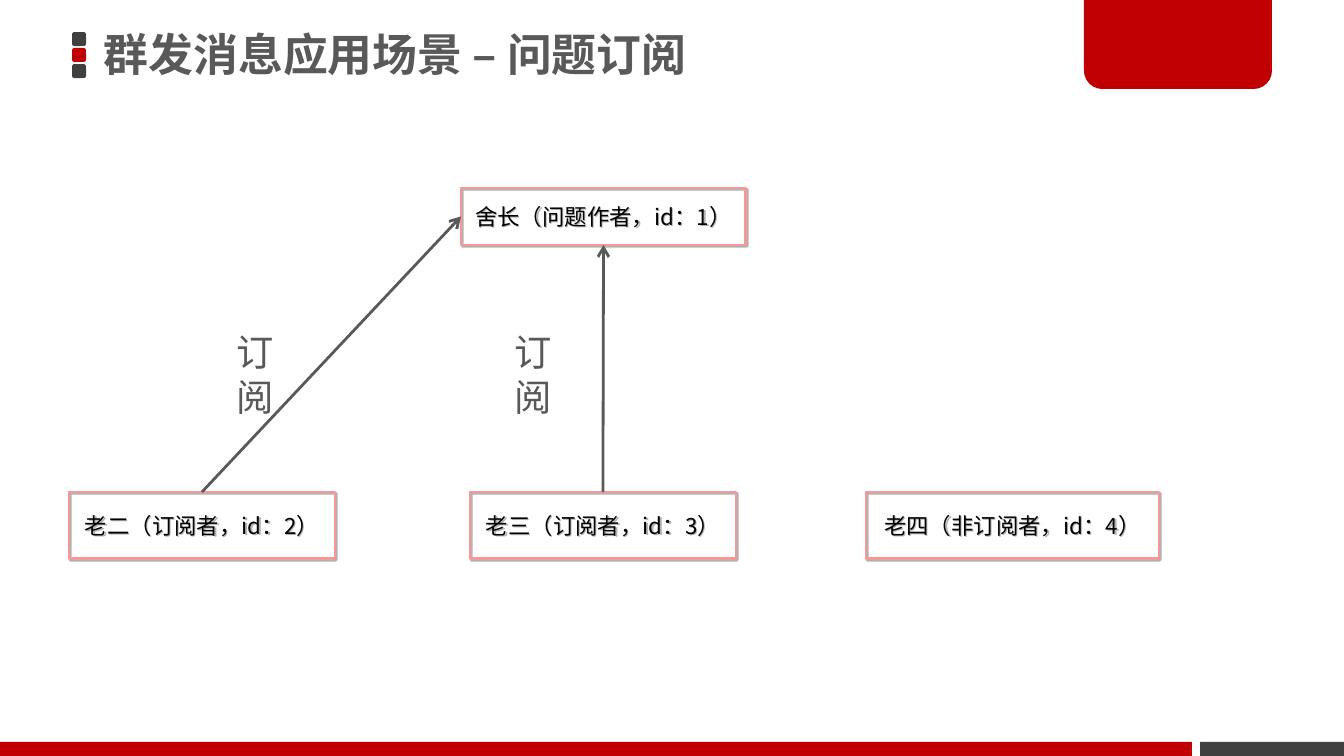
from typing import NamedTuple

from lxml.etree import SubElement
from pptx import Presentation
from pptx.dml.color import RGBColor
from pptx.enum.shapes import MSO_CONNECTOR, MSO_SHAPE
from pptx.enum.text import MSO_ANCHOR, MSO_AUTO_SIZE, PP_ALIGN
from pptx.oxml.ns import qn
from pptx.util import Pt

EMU_PER_PX = 914400 / 134.4
RED, DARK, GRAY, PINK, BLACK = "C00000", "404040", "595959", "F69898", "000000"
CJK_FONT = "Noto Sans CJK SC"
TOP, LEFT, BOTTOM = 0, 1, 2  # connection sites of a rectangle


class Area(NamedTuple):
    left: int
    top: int
    width: int
    height: int


class Decoration(NamedTuple):
    area: Area
    color: str
    kind: MSO_SHAPE = MSO_SHAPE.RECTANGLE
    adjustments: tuple = ()


class Person(NamedTuple):
    text: str
    area: Area


class Subscription(NamedTuple):
    subscriber: int
    author_site: int
    label_area: Area


BULLET_HEIGHT, BULLET_PITCH = 14, 16
DECORATIONS = [
    Decoration(Area(72, 32 + index * BULLET_PITCH, 14, BULLET_HEIGHT), color,
               MSO_SHAPE.ROUNDED_RECTANGLE, (0.17,))
    for index, color in enumerate((DARK, RED, DARK))
] + [
    Decoration(Area(1200, 742, 144, 14), DARK),
    Decoration(Area(1084, -3, 188, 92), RED, MSO_SHAPE.ROUND_2_SAME_RECTANGLE, (0, 0.2)),
    Decoration(Area(0, 742, 1192, 14), RED),
]
AUTHOR = Person("舍长（问题作者，id：1）", Area(461, 188, 285, 57))
READERS = [
    Person("老二（订阅者，id：2）", Area(69, 492, 266, 67)),
    Person("老三（订阅者，id：3）", Area(470, 492, 266, 67)),
    Person("老四（非订阅者，id：4）", Area(866, 492, 293, 67)),
]
SUBSCRIPTIONS = [
    Subscription(0, LEFT, Area(223, 323, 101, 59)),
    Subscription(1, BOTTOM, Area(501, 323, 101, 59)),
]


def px(length: int) -> int:
    return round(length * EMU_PER_PX)


def emu(area: Area) -> list[int]:
    return [px(length) for length in area]


def rgb(color: str) -> RGBColor:
    return RGBColor.from_string(color)


def set_attributes(target, values: dict) -> None:
    for name, value in values.items():
        setattr(target, name, value)


def write_text(shape, text: str, color: str, frame_format: dict,
               paragraph_format: dict, font_format: dict) -> None:
    frame = shape.text_frame
    set_attributes(frame, frame_format)
    paragraph = frame.paragraphs[0]
    set_attributes(paragraph, paragraph_format)
    run = paragraph.add_run()
    run.text = text
    set_attributes(run.font, font_format)
    run.font.color.rgb = rgb(color)
    east_asian = SubElement(run.font._element, qn("a:ea"))
    east_asian.set("typeface", font_format["name"])


def add_decoration(slide, decoration: Decoration) -> None:
    shape = slide.shapes.add_shape(decoration.kind, *emu(decoration.area))
    shape.shadow.inherit = False
    for index, value in enumerate(decoration.adjustments):
        shape.adjustments[index] = value
    shape.fill.solid()
    shape.fill.fore_color.rgb = rgb(decoration.color)
    shape.line.fill.background()


def add_shadow(shape) -> None:
    """Give the shape a hard shadow, one point down to the right."""
    shape.shadow.inherit = False
    effects = shape._element.spPr.find(qn("a:effectLst"))
    shadow = SubElement(effects, qn("a:outerShdw"), blurRad="0", dist=str(Pt(1)),
                        dir="2700000", algn="tl", rotWithShape="0")
    color = SubElement(shadow, qn("a:srgbClr"), val=BLACK)
    SubElement(color, qn("a:alpha"), val="30000")


def add_person(slide, person: Person):
    shape = slide.shapes.add_shape(MSO_SHAPE.RECTANGLE, *emu(person.area))
    shape.fill.background()
    shape.line.color.rgb = rgb(PINK)
    shape.line.width = Pt(1.5)
    add_shadow(shape)
    write_text(shape, person.text, BLACK,
               {"word_wrap": True, "vertical_anchor": MSO_ANCHOR.MIDDLE},
               {"alignment": PP_ALIGN.CENTER},
               {"name": CJK_FONT, "size": Pt(12)})
    return shape


def add_arrow(slide, subscriber, author, author_site: int) -> None:
    arrow = slide.shapes.add_connector(MSO_CONNECTOR.STRAIGHT, 0, 0, 0, 0)
    arrow.begin_connect(subscriber, TOP)
    arrow.end_connect(author, author_site)
    arrow.line.color.rgb = rgb(GRAY)
    arrow.line.width = Pt(1.5)
    SubElement(arrow.line._get_or_add_ln(), qn("a:tailEnd"), type="arrow")
    SubElement(arrow._element.spPr, qn("a:effectLst"))


def add_title(slide) -> None:
    box = slide.shapes.add_textbox(*emu(Area(93, -3, 792, 120)))
    write_text(box, "群发消息应用场景 – 问题订阅", GRAY,
               {"word_wrap": True, "vertical_anchor": MSO_ANCHOR.MIDDLE,
                "margin_left": px(11), "margin_right": px(11),
                "margin_top": px(5), "margin_bottom": px(5)},
               {"line_spacing": 0.9},
               {"name": CJK_FONT, "size": Pt(24), "bold": True})


def add_label(slide, area: Area) -> None:
    box = slide.shapes.add_textbox(*emu(area))
    write_text(box, "订阅", GRAY,
               {"word_wrap": False, "auto_size": MSO_AUTO_SIZE.SHAPE_TO_FIT_TEXT},
               {}, {"name": "Calibri", "size": Pt(20)})


def main() -> None:
    presentation = Presentation()
    set_attributes(presentation, {"slide_width": px(1344), "slide_height": px(756)})
    slide = presentation.slides.add_slide(presentation.slide_layouts[6])
    for decoration in DECORATIONS:
        add_decoration(slide, decoration)
    add_title(slide)
    author = add_person(slide, AUTHOR)
    readers = [add_person(slide, person) for person in READERS]
    for subscription in SUBSCRIPTIONS:
        add_arrow(slide, readers[subscription.subscriber], author, subscription.author_site)
        add_label(slide, subscription.label_area)
    presentation.save("out.pptx")


if __name__ == "__main__":
    main()
